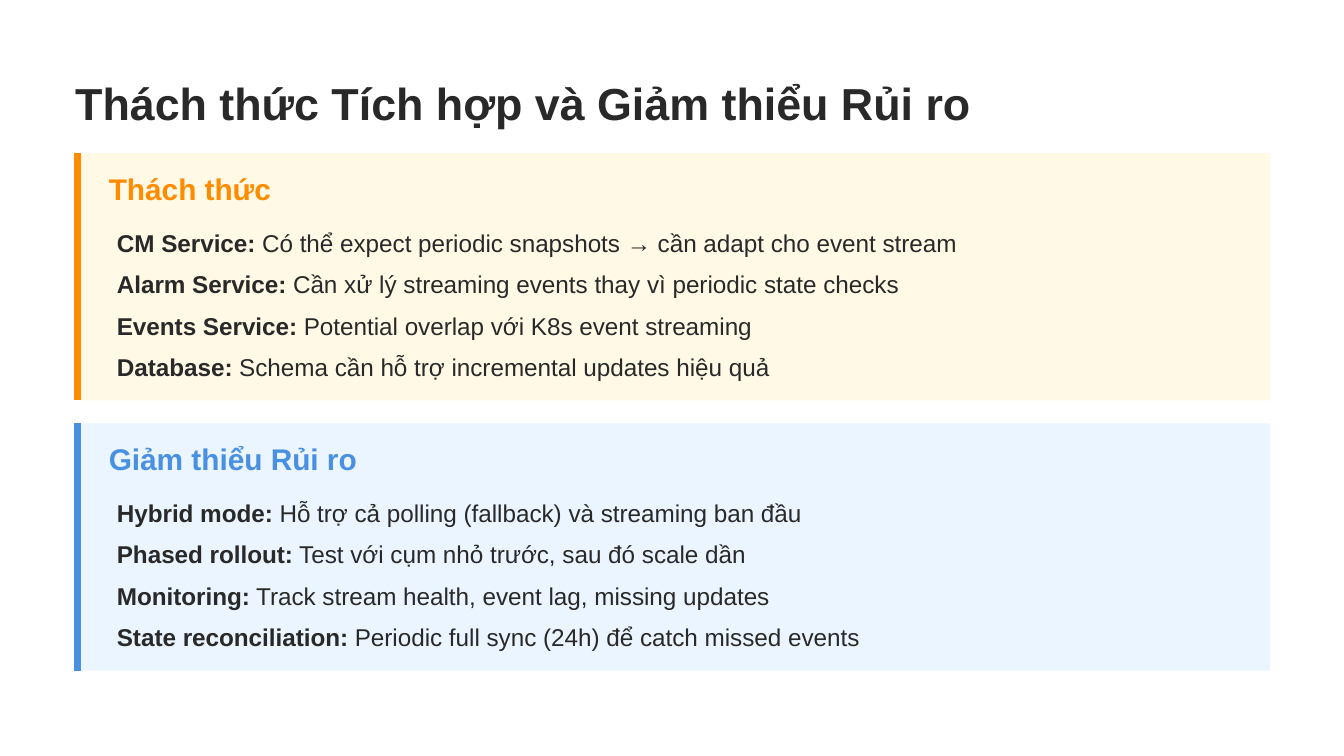
from lxml import etree
from pptx import Presentation
from pptx import util as u
from pptx.dml.color import RGBColor
from pptx.enum import shapes
from pptx.oxml.ns import qn

DARK = RGBColor(0x29, 0x29, 0x29)
ORANGE = RGBColor(0xFF, 0x8C, 0x00)
CREAM = RGBColor(0xFF, 0xF9, 0xE6)
BLUE = RGBColor(0x4A, 0x90, 0xE2)
PALE_BLUE = RGBColor(0xEB, 0xF5, 0xFF)

presentation = Presentation()
presentation.slide_width = u.Inches(10)
presentation.slide_height = u.Inches(10 * 9 / 16)
slide = presentation.slides.add_slide(presentation.slide_layouts[6])


def add_text_frame(left, top, width, height):
    box = slide.shapes.add_textbox(
        u.Inches(left), u.Inches(top), u.Inches(width), u.Inches(height))
    frame = box.text_frame
    frame.word_wrap = True
    frame.margin_left = frame.margin_top = 0
    frame.margin_right = frame.margin_bottom = 0
    return frame


def add_run(paragraph, words, size, color, bold):
    run = paragraph.add_run()
    run.text = words
    run.font.name = "Arial"
    run.font.size = u.Pt(size)
    run.font.bold = bold
    run.font.color.rgb = color


title = add_text_frame(0.56, 0.56, 9.07, 0.39)
add_run(title.paragraphs[0], "Thách thức Tích hợp và Giảm thiểu Rủi ro", 24, DARK, True)

panels = [
    ("Thách thức", ORANGE, CREAM, [
        ("CM Service:", "Có thể expect periodic snapshots → cần adapt cho event stream"),
        ("Alarm Service:", "Cần xử lý streaming events thay vì periodic state checks"),
        ("Events Service:", "Potential overlap với K8s event streaming"),
        ("Database:", "Schema cần hỗ trợ incremental updates hiệu quả"),
    ]),
    ("Giảm thiểu Rủi ro", BLUE, PALE_BLUE, [
        ("Hybrid mode:", "Hỗ trợ cả polling (fallback) và streaming ban đầu"),
        ("Phased rollout:", "Test với cụm nhỏ trước, sau đó scale dần"),
        ("Monitoring:", "Track stream health, event lag, missing updates"),
        ("State reconciliation:", "Periodic full sync (24h) để catch missed events"),
    ]),
]

for index, (heading, accent, background, items) in enumerate(panels):
    top = 1.14 + index * 2.01

    panel = slide.shapes.add_shape(
        shapes.MSO_SHAPE.RECTANGLE,
        u.Inches(0.56), u.Inches(top), u.Inches(8.89), u.Inches(1.84))
    panel.shadow.inherit = False
    panel.fill.solid()
    panel.fill.fore_color.rgb = background
    panel.line.fill.background()

    bar = slide.shapes.add_connector(
        shapes.MSO_CONNECTOR.STRAIGHT,
        u.Inches(0.58), u.Inches(top), u.Inches(0.58), u.Inches(top + 1.84))
    bar.line.color.rgb = accent
    bar.line.width = u.Pt(3.75)
    etree.SubElement(bar._element.spPr, qn("a:effectLst"))

    heading_frame = add_text_frame(0.81, top + 0.13, 8.64, 0.28)
    add_run(heading_frame.paragraphs[0], heading, 16, accent, True)

    list_frame = add_text_frame(0.75, top + 0.52, 8.56, 1.18)
    list_frame.margin_left = u.Inches(0.12)
    for number, (label, detail) in enumerate(items):
        paragraph = list_frame.add_paragraph() if number else list_frame.paragraphs[0]
        paragraph.line_spacing = u.Pt(18.2)
        paragraph.space_after = u.Pt(4)
        add_run(paragraph, label, 13, DARK, True)
        add_run(paragraph, " " + detail, 13, DARK, False)

presentation.save("out.pptx")
